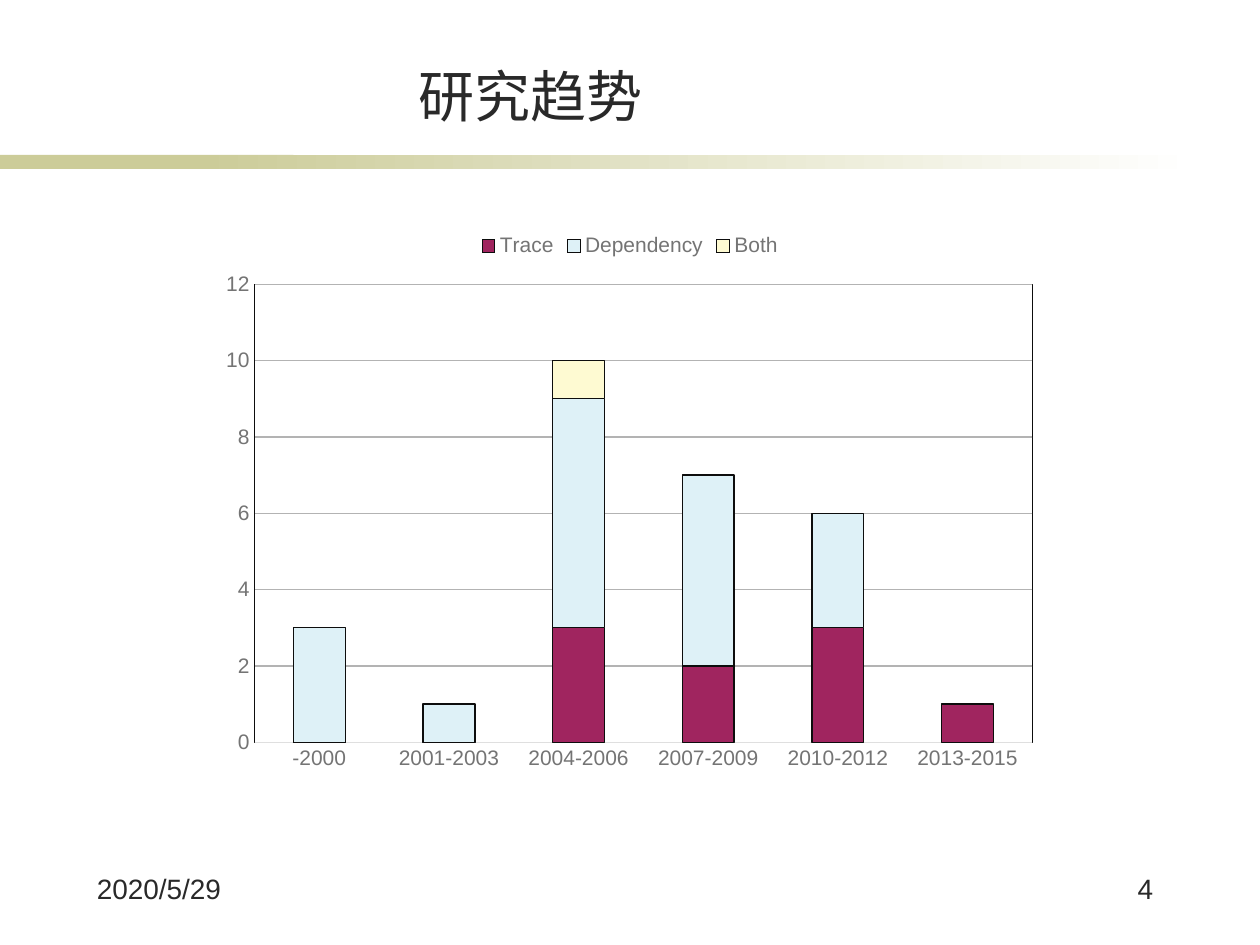
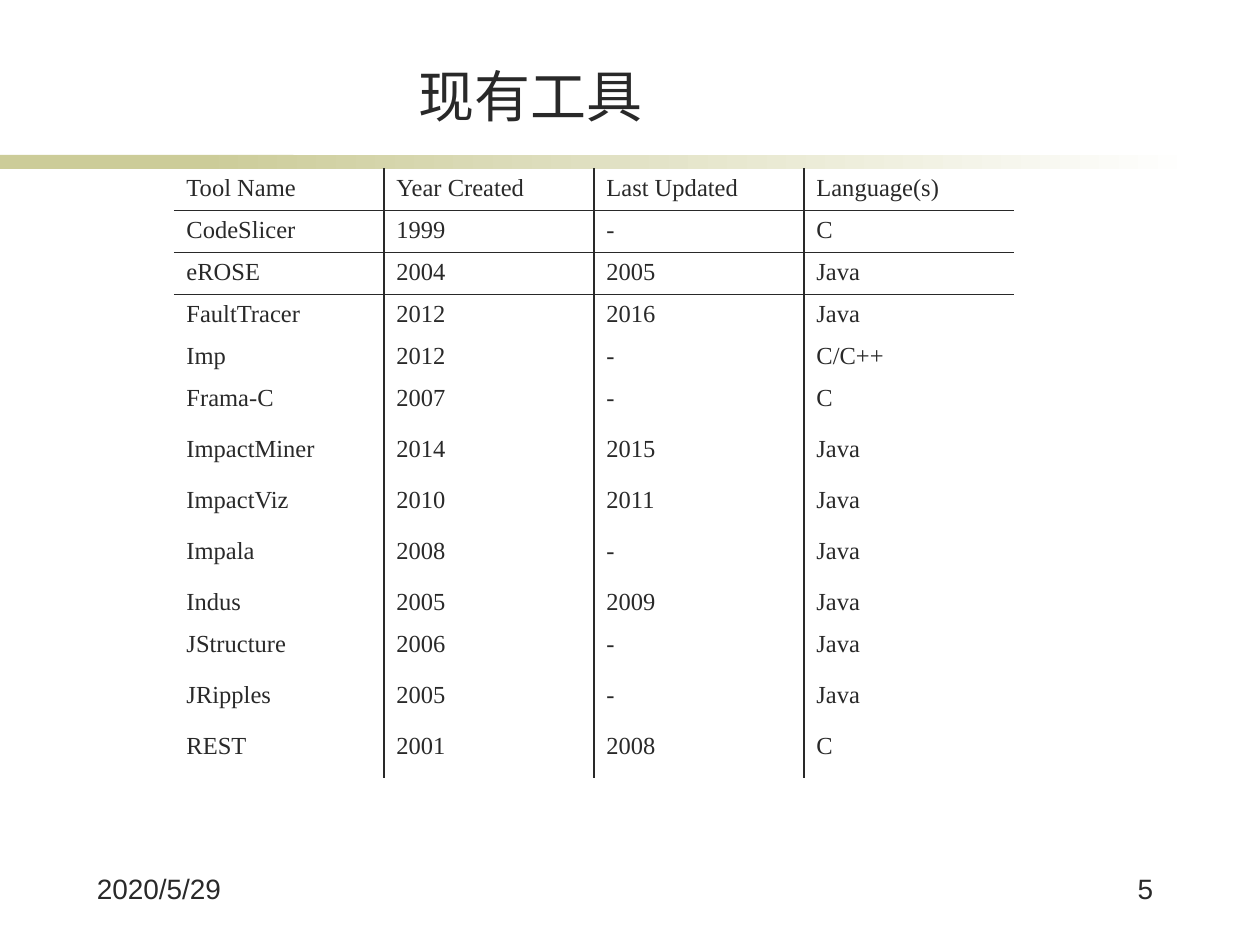
from dataclasses import dataclass

from lxml.etree import SubElement
from pptx import Presentation
from pptx.chart.data import CategoryChartData
from pptx.dml.color import RGBColor
from pptx.enum.chart import XL_CHART_TYPE, XL_LEGEND_POSITION, XL_TICK_MARK
from pptx.enum.shapes import MSO_SHAPE
from pptx.enum.text import MSO_ANCHOR, MSO_AUTO_SIZE, PP_ALIGN
from pptx.oxml import parse_xml
from pptx.oxml.ns import nsdecls, qn
from pptx.util import Inches, Pt


@dataclass(frozen=True)
class Theme:
    ink: RGBColor = RGBColor.from_string("292929")
    band: RGBColor = RGBColor.from_string("CCCC99")
    paper: RGBColor = RGBColor.from_string("FFFFFF")
    label: RGBColor = RGBColor.from_string("747474")
    grid: RGBColor = RGBColor.from_string("B3B3B3")
    axis: RGBColor = RGBColor.from_string("DFDFDF")
    outline: RGBColor = RGBColor.from_string("0D0D0D")
    series: tuple = ("A0255F", "DEF1F7", "FEFAD2")
    sans: str = "Arial"
    serif: str = "Times New Roman"
    title_size: Pt = Pt(32)
    footer_size: Pt = Pt(16)
    table_size: Pt = Pt(14)
    chart_size: Pt = Pt(12)
    hairline: Pt = Pt(0.75)
    rule: Pt = Pt(1)


theme = Theme()
prs = Presentation()
prs.slide_width, prs.slide_height = Inches(10), Inches(7.5)


def area(left, top, width, height):
    """Turn percentages of the slide into left, top, width and height."""
    across, down = prs.slide_width / 100, prs.slide_height / 100
    return (int(left * across), int(top * down),
            int(width * across), int(height * down))


def style(font, size, color=theme.ink, name=theme.sans):
    font.size, font.name = size, name
    font.color.rgb = color


# Title and footers
slides = []
for number, heading in ((4, "研究趋势"), (5, "现有工具")):
    slide = prs.slides.add_slide(prs.slide_layouts[5])
    slides.append(slide)
    title = slide.shapes.title
    title.left, title.top, title.width, title.height = area(11.4, 5.87, 61.4, 8.4)
    title.text_frame.text = heading
    title.text_frame.auto_size = MSO_AUTO_SIZE.NONE
    title.text_frame.vertical_anchor = MSO_ANCHOR.BOTTOM
    title.text_frame.paragraphs[0].alignment = PP_ALIGN.CENTER
    style(title.text_frame.paragraphs[0].runs[0].font, theme.title_size)

    for text, left, width, alignment in (
        ("2020/5/29", 6.7, 14.1, PP_ALIGN.LEFT),
        (str(number), 82.3, 10.2, PP_ALIGN.RIGHT),
    ):
        footer = slide.shapes.add_textbox(*area(left, 91.6, width, 6.67)).text_frame
        footer.word_wrap = True
        footer.text = text
        footer.paragraphs[0].alignment = alignment
        style(footer.paragraphs[0].runs[0].font, theme.footer_size)

trend_slide, tools_slide = slides

# Bands, moved to the master so that every slide shows them
for left, width, fades in ((0, 23.3, False), (15.8, 79.2, True)):
    band = trend_slide.shapes.add_shape(
        MSO_SHAPE.RECTANGLE, *area(left, 16.4, width, 1.47))
    band.shadow.inherit = False
    band.line.fill.background()
    if fades:
        band.fill.gradient()
        band.fill.gradient_angle = 0
        for stop, color in zip(band.fill.gradient_stops, (theme.band, theme.paper)):
            stop.color.rgb = color
    else:
        band.fill.solid()
        band.fill.fore_color.rgb = theme.band
    prs.slide_master.shapes.element.append(band.element)

# Research trend chart
trend = CategoryChartData()
trend.categories = ["-2000", "2001-2003", "2004-2006",
                    "2007-2009", "2010-2012", "2013-2015"]
trend.add_series("Trace", (0, 0, 3, 2, 3, 1))
trend.add_series("Dependency", (3, 1, 6, 5, 3, 0))
trend.add_series("Both", (0, 0, 1, 0, 0, 0))
chart = trend_slide.shapes.add_chart(
    XL_CHART_TYPE.COLUMN_STACKED, *area(16.67, 23.33, 66.67, 59.2), trend).chart
style(chart.font, theme.chart_size, theme.label)
chart.has_title = False
chart.has_legend = True
chart.legend.position = XL_LEGEND_POSITION.TOP
chart.legend.include_in_layout = False
style(chart.legend.font, theme.chart_size, theme.label)

columns = chart.plots[0]
columns.gap_width, columns.overlap = 150, 100
columns.vary_by_categories = False
for series, color in zip(columns.series, theme.series):
    series.format.fill.solid()
    series.format.fill.fore_color.rgb = RGBColor.from_string(color)
    series.format.line.color.rgb = theme.outline
    series.format.line.width = theme.hairline

periods, papers = chart.category_axis, chart.value_axis
for axis in (periods, papers):
    axis.major_tick_mark = axis.minor_tick_mark = XL_TICK_MARK.NONE
    style(axis.tick_labels.font, theme.chart_size, theme.label)
periods.format.line.color.rgb = theme.axis
periods.format.line.width = theme.hairline
papers.format.line.fill.background()
papers.minimum_scale, papers.maximum_scale, papers.major_unit = 0, 12, 2
papers.major_gridlines.format.line.color.rgb = theme.grid
papers.major_gridlines.format.line.width = theme.hairline

plot_area = chart.element.find(".//" + qn("c:plotArea"))
for layout in plot_area.findall(qn("c:layout")):
    plot_area.remove(layout)
plot_area.insert(0, parse_xml(
    f'<c:layout {nsdecls("c")}><c:manualLayout><c:layoutTarget val="inner"/>'
    '<c:xMode val="edge"/><c:yMode val="edge"/><c:x val="0.053"/>'
    '<c:y val="0.114"/><c:w val="0.926"/><c:h val="0.819"/>'
    '</c:manualLayout></c:layout>'))
plot_area.append(parse_xml(
    f'<c:spPr {nsdecls("c", "a")}><a:noFill/><a:ln w="{theme.hairline}"><a:solidFill>'
    f'<a:srgbClr val="{theme.outline}"/></a:solidFill></a:ln></c:spPr>'))

# Existing tools table
tools = (
    ("Tool Name", "Year Created", "Last Updated", "Language(s)"),
    ("CodeSlicer", "1999", "-", "C"),
    ("eROSE", "2004", "2005", "Java"),
    ("FaultTracer", "2012", "2016", "Java"),
    ("Imp", "2012", "-", "C/C++"),
    ("Frama-C", "2007", "-", "C"),
    ("ImpactMiner", "2014", "2015", "Java"),
    ("ImpactViz", "2010", "2011", "Java"),
    ("Impala", "2008", "-", "Java"),
    ("Indus", "2005", "2009", "Java"),
    ("JStructure", "2006", "-", "Java"),
    ("JRipples", "2005", "-", "Java"),
    ("REST", "2001", "2008", "C"),
)
tall_rows = {5, 6, 7, 8, 10, 11, 12}
ruled_rows = {0, 1}
last_column = len(tools[0]) - 1

table = tools_slide.shapes.add_table(
    len(tools), len(tools[0]), *area(13.8, 17.8, 66.67, 63)).table
table.first_row = table.horz_banding = False
no_style = "{2D5ABB26-0587-4C30-8999-92F81FD0307C}"
table.cell(0, 0)._tc.getparent().getparent().tblPr.find(qn("a:tableStyleId")).text = no_style

for row, entries in enumerate(tools):
    table.rows[row].height = int(prs.slide_height * (5.4 if row in tall_rows else 4.2) / 100)
    for column, entry in enumerate(entries):
        cell = table.cell(row, column)
        cell.text_frame.text = entry
        paragraph = cell.text_frame.paragraphs[0]
        paragraph.alignment = PP_ALIGN.LEFT
        style(paragraph.runs[0].font, theme.table_size, name=theme.serif)
        borders = {
            "a:lnL": column > 0,
            "a:lnR": column < last_column,
            "a:lnT": row - 1 in ruled_rows,
            "a:lnB": row in ruled_rows,
        }
        properties = cell._tc.get_or_add_tcPr()
        for side, shown in borders.items():
            if shown:
                border = SubElement(properties, qn(side), w=str(theme.rule))
                paint = SubElement(border, qn("a:solidFill"))
                SubElement(paint, qn("a:srgbClr"), val=str(theme.ink))
        cell.fill.background()

prs.save("out.pptx")
